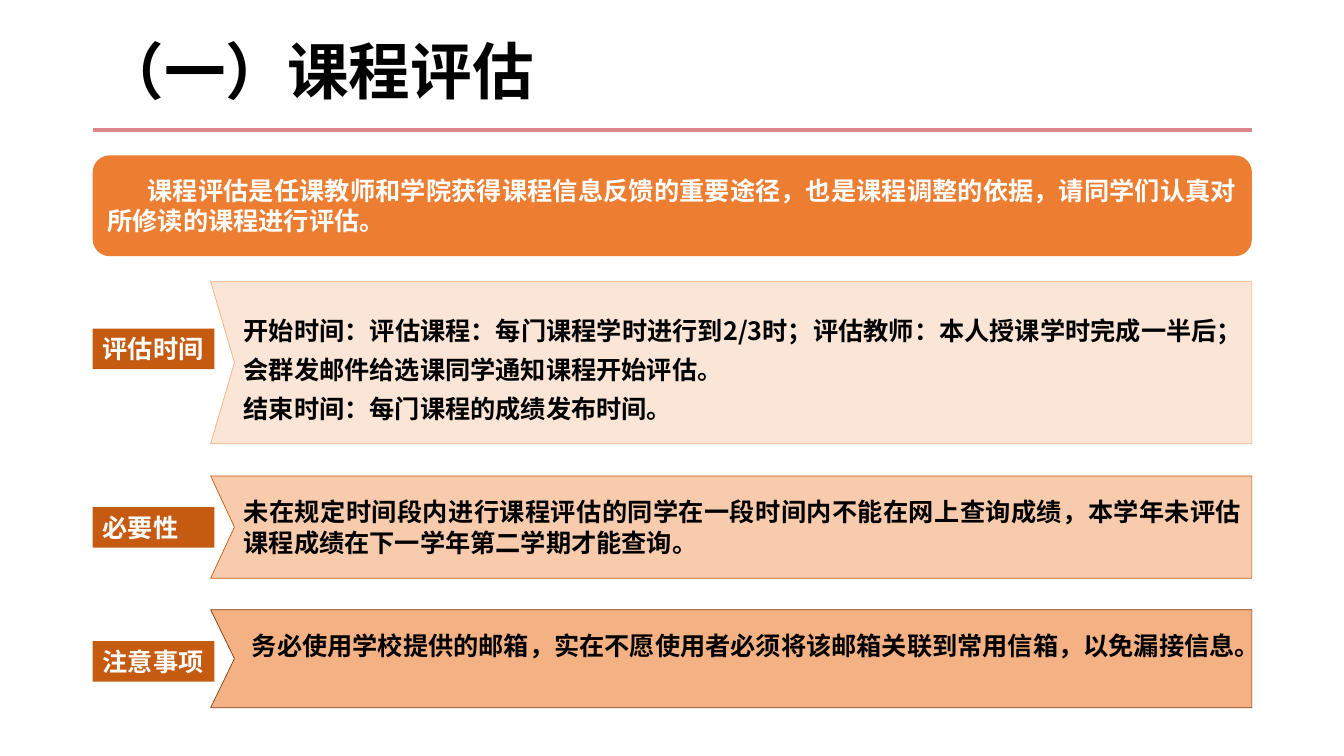
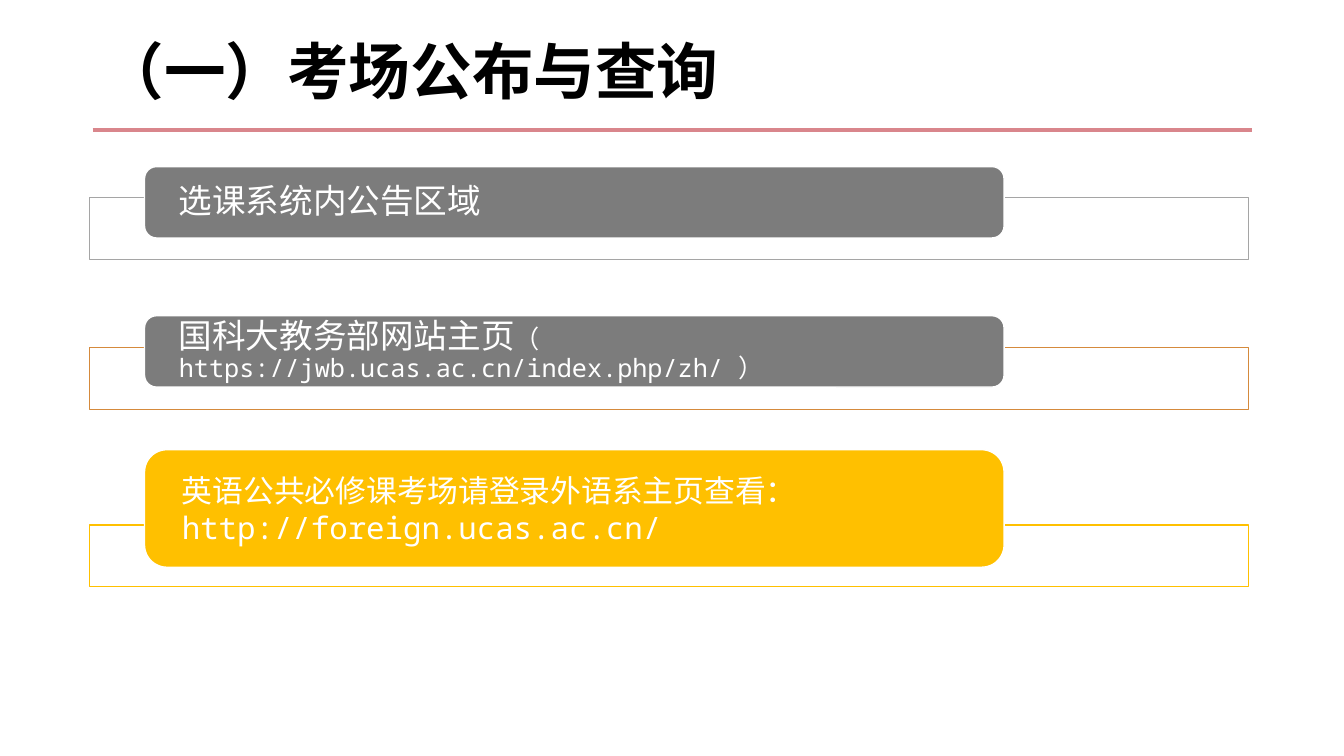
from lxml import etree
from pptx import Presentation
from pptx.dml.color import RGBColor
from pptx.enum.lang import MSO_LANGUAGE_ID
from pptx.enum.shapes import MSO_CONNECTOR, MSO_SHAPE
from pptx.enum.text import MSO_ANCHOR, PP_ALIGN
from pptx.oxml.ns import qn
from pptx.util import Pt

# Shared look
CJK, LATIN, MONO = "Noto Sans CJK SC", "Arial", "Noto Sans Mono"
BLACK, WHITE, RULE = "000000", "FFFFFF", "D9868C"
ORANGE, DARK_ORANGE, GREY, YELLOW = "ED7D31", "C55A11", "7C7C7C", "FFC000"
LEFT, WIDTH = 66.25, 828
RIGHT = LEFT + WIDTH

# Slide 1 content
EVALUATION_TITLE = "（一）课程评估"
INTRO = "课程评估是任课教师和学院获得课程信息反馈的重要途径，也是课程调整的依据，请同学们认真对所修读的课程进行评估。"
PANELS = [
    dict(label="评估时间", label_top=234.7, top=201, height=116, fill="FBE5D6", line="F4B183",
         text_left=167, text_top=215.3, spacing=Pt(28), align=PP_ALIGN.JUSTIFY,
         texts=["开始时间：评估课程：每门课程学时进行到2/3时；评估教师：本人授课学时完成一半后；会群发邮件给选课同学通知课程开始评估。",
                "结束时间：每门课程的成绩发布时间。"]),
    dict(label="必要性", label_top=362.2, top=340, height=73, fill="F8CBAD", line="C55A11",
         text_left=167, text_top=351.2, spacing=None, align=PP_ALIGN.JUSTIFY,
         texts=["未在规定时间段内进行课程评估的同学在一段时间内不能在网上查询成绩，本学年未评估课程成绩在下一学年第二学期才能查询。"]),
    dict(label="注意事项", label_top=458, top=435.5, height=70, fill="F4B183", line="843C0B",
         text_left=172.8, text_top=447, spacing=None, align=PP_ALIGN.LEFT,
         texts=["务必使用学校提供的邮箱，实在不愿使用者必须将该邮箱关联到常用信箱，以免漏接信息。"]),
]

# Slide 2 content: paragraphs hold runs of (text, size, font)
ROOM_TITLE = "（一）考场公布与查询"
SOURCES = [
    dict(frame_top=141.3, top=119, height=51, radius=8.6, fill=GREY, line="A5A5A5", spacing=0.9,
         paragraphs=[[("选课系统内公告区域", 24, LATIN)]]),
    dict(frame_top=248.4, top=225.5, height=51, radius=8.6, fill=GREY, line="D58A3C", spacing=0.9,
         paragraphs=[[("国科大教务部网站主页", 24, LATIN),
                      ("（ https://jwb.ucas.ac.cn/index.php/zh/ ）", 18, MONO)]]),
    dict(frame_top=375, top=321.2, height=84, radius=16, fill=YELLOW, line=YELLOW, spacing=None,
         paragraphs=[[("英语公共必修课考场请登录外语系主页查看：", 22, LATIN)],
                     [("http://foreign.ucas.ac.cn/", 22, MONO)]]),
]


def color(value):
    return RGBColor.from_string(value)


def paint(shape, fill, line=None, line_width=1):
    shape.shadow.inherit = False
    shape.fill.solid()
    shape.fill.fore_color.rgb = color(fill)
    if line:
        shape.line.color.rgb = color(line)
        shape.line.width = Pt(line_width)
    else:
        shape.line.fill.background()


def add_box(slide, kind, left, top, width, height, fill, line=None):
    shape = slide.shapes.add_shape(kind, Pt(left), Pt(top), Pt(width), Pt(height))
    paint(shape, fill, line)
    return shape


def add_text_box(slide, left, top, width, height):
    return slide.shapes.add_textbox(Pt(left), Pt(top), Pt(width), Pt(height))


def write(shape, paragraphs, text_color, bold=False, align=PP_ALIGN.LEFT,
          anchor=MSO_ANCHOR.TOP, spacing=None, indent=0, side_inset=7.2, edge_inset=3.6):
    frame = shape.text_frame
    frame.word_wrap = True
    frame.vertical_anchor = anchor
    frame.margin_left = frame.margin_right = Pt(side_inset)
    frame.margin_top = frame.margin_bottom = Pt(edge_inset)
    for index, runs in enumerate(paragraphs):
        paragraph = frame.add_paragraph() if index else frame.paragraphs[0]
        paragraph.alignment = align
        if spacing:
            paragraph.line_spacing = spacing
        if indent:
            paragraph._p.get_or_add_pPr().set("indent", str(Pt(indent)))
        for text, size, name in runs:
            run = paragraph.add_run()
            run.text = text
            font = run.font
            font.size, font.bold, font.name = Pt(size), bold, name
            font.color.rgb = color(text_color)
            font.language_id = MSO_LANGUAGE_ID.SIMPLIFIED_CHINESE
            latin = run._r.rPr.find(qn("a:latin"))
            east_asian = etree.Element(qn("a:ea"), typeface=CJK)
            latin.addnext(east_asian)


def add_titled_slide(presentation, title, title_font):
    slide = presentation.slides.add_slide(presentation.slide_layouts[6])
    rule = slide.shapes.add_connector(MSO_CONNECTOR.STRAIGHT, Pt(LEFT), Pt(93), Pt(RIGHT), Pt(93))
    rule.line.color.rgb = color(RULE)
    rule.line.width = Pt(3)
    etree.SubElement(rule._element.spPr, qn("a:effectLst"))
    title_box = add_text_box(slide, LEFT, 13.7, WIDTH, 79.3)
    write(title_box, [[(title, 44, title_font)]], BLACK, bold=True,
          anchor=MSO_ANCHOR.MIDDLE, spacing=0.9)
    return slide


def add_notched_panel(slide, top, height, fill, line):
    left, notch = 150.5, 167.5
    points = [(left, top), (notch, top + height / 2), (left, top + height), (RIGHT, top + height)]
    builder = slide.shapes.build_freeform(Pt(RIGHT), Pt(top))
    builder.add_line_segments([(Pt(x), Pt(y)) for x, y in points], close=True)
    paint(builder.convert_to_shape(), fill, line, 0.5)


def build_evaluation_slide(presentation):
    slide = add_titled_slide(presentation, EVALUATION_TITLE, CJK)
    # Introduction banner
    banner = add_box(slide, MSO_SHAPE.ROUNDED_RECTANGLE, LEFT, 111, WIDTH, 72, ORANGE)
    write(banner, [[(INTRO, 18, CJK)]], WHITE, bold=True, align=PP_ALIGN.JUSTIFY,
          anchor=MSO_ANCHOR.MIDDLE, indent=28.6)
    # Labelled panels
    for panel in PANELS:
        label = add_box(slide, MSO_SHAPE.RECTANGLE, LEFT, panel["label_top"], 87, 29, DARK_ORANGE)
        write(label, [[(panel["label"], 18, CJK)]], WHITE, bold=True)
        add_notched_panel(slide, panel["top"], panel["height"], panel["fill"], panel["line"])
        text_left = panel["text_left"]
        body = add_text_box(slide, text_left, panel["text_top"], RIGHT - text_left, 50)
        write(body, [[(text, 18, CJK)] for text in panel["texts"]], BLACK, bold=True,
              align=panel["align"], spacing=panel["spacing"])


def build_room_slide(presentation):
    slide = add_titled_slide(presentation, ROOM_TITLE, LATIN)
    # Outlined frames with a rounded tab on each
    for source in SOURCES:
        add_box(slide, MSO_SHAPE.RECTANGLE, 64, source["frame_top"], WIDTH, 44, WHITE, source["line"])
        tab = add_box(slide, MSO_SHAPE.ROUNDED_RECTANGLE, 103.2, source["top"], 614, source["height"],
                      source["fill"], WHITE)
        tab.adjustments[0] = source["radius"] / source["height"]
        write(tab, source["paragraphs"], WHITE, anchor=MSO_ANCHOR.MIDDLE,
              spacing=source["spacing"], side_inset=22, edge_inset=0)


def main():
    presentation = Presentation()
    presentation.slide_width, presentation.slide_height = Pt(960), Pt(540)
    build_evaluation_slide(presentation)
    build_room_slide(presentation)
    presentation.save("out.pptx")


if __name__ == "__main__":
    main()
